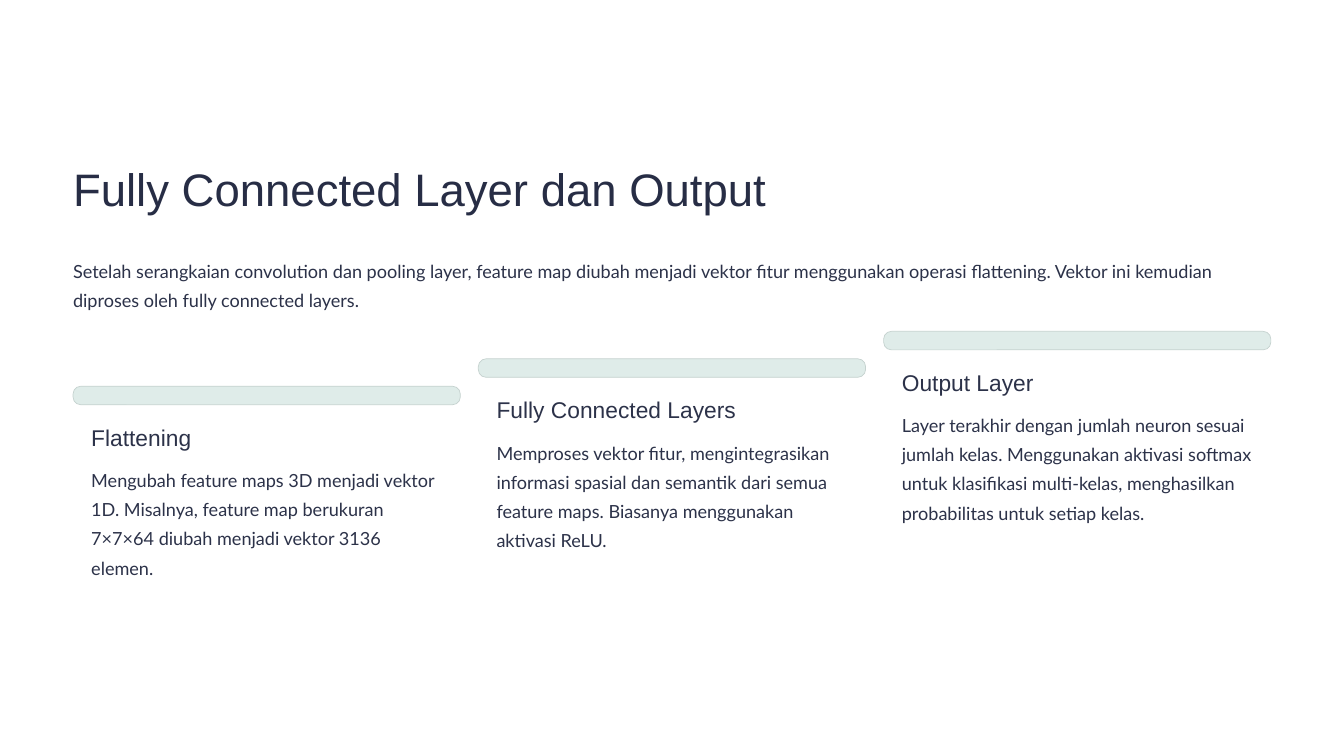
import pptx
import pptx.util
import pptx.dml.color
import pptx.enum.shapes
import pptx.enum.text

Cm, Pt = pptx.util.Cm, pptx.util.Pt

# Content
TITLE = "Fully Connected Layer dan Output"
INTRO = (
    "Setelah serangkaian convolution dan pooling layer, feature map diubah "
    "menjadi vektor fitur menggunakan operasi flattening. Vektor ini kemudian "
    "diproses oleh fully connected layers."
)
# Head, body, body height in cm
STEPS = [
    ("Flattening",
     "Mengubah feature maps 3D menjadi vektor 1D. Misalnya, feature map "
     "berukuran 7×7×64 diubah menjadi vektor 3136 elemen.", 3.53),
    ("Fully Connected Layers",
     "Memproses vektor fitur, mengintegrasikan informasi spasial dan semantik "
     "dari semua feature maps. Biasanya menggunakan aktivasi ReLU.", 3.53),
    ("Output Layer",
     "Layer terakhir dengan jumlah neuron sesuai jumlah kelas. Menggunakan "
     "aktivasi softmax untuk klasifikasi multi-kelas, menghasilkan "
     "probabilitas untuk setiap kelas.", 4.42),
]
COLORS = {"back": "FFFFFF", "title": "272D45", "text": "2C3249",
          "bar": "DFECE9", "edge": "C5D2CF"}

# Layout in cm
LEFT, WIDTH = 2.21, 36.22
BAR_W, BAR_H = 11.71, 0.56
PITCH = (WIDTH - BAR_W) / (len(STEPS) - 1)
BASE, RISE = 11.68, 0.83
INSET = 0.55
HEAD_DY, BODY_DY = 1.1, 2.29


def rgb(name):
    return pptx.dml.color.RGBColor.from_string(COLORS[name])


def write(text, x, y, w, h, box=None, font="Lato", size=15.5, lead=25,
          color="text", wrap=True):
    box = box or slide.shapes.add_textbox(0, 0, 0, 0)
    box.left, box.top, box.width, box.height = Cm(x), Cm(y), Cm(w), Cm(h)
    frame = box.text_frame
    frame.margin_left = frame.margin_right = 0
    frame.margin_top = frame.margin_bottom = 0
    frame.word_wrap = wrap
    frame.auto_size = pptx.enum.text.MSO_AUTO_SIZE.NONE
    frame.vertical_anchor = pptx.enum.text.MSO_ANCHOR.TOP
    para = frame.paragraphs[0]
    para.alignment = pptx.enum.text.PP_ALIGN.LEFT
    para.line_spacing = Pt(lead)
    para.space_before = Pt(0)
    run = para.add_run()
    run.text = text
    run.font.name, run.font.size = font, Pt(size)
    run.font.color.rgb = rgb(color)


def draw_bar(x, y):
    bar = slide.shapes.add_shape(
        pptx.enum.shapes.MSO_SHAPE.ROUNDED_RECTANGLE,
        Cm(x), Cm(y), Cm(BAR_W), Cm(BAR_H))
    bar.adjustments[0] = 0.42
    bar.shadow.inherit = False
    bar.fill.solid()
    bar.fill.fore_color.rgb = rgb("bar")
    bar.line.color.rgb = rgb("edge")
    bar.line.width = Pt(0.6)


# Slide
deck = pptx.Presentation()
deck.slide_width, deck.slide_height = Cm(40.64), Cm(22.86)
slide = deck.slides.add_slide(deck.slide_layouts[5])
slide.background.fill.solid()
slide.background.fill.fore_color.rgb = rgb("back")

# Title and intro
write(TITLE, LEFT, 4.8, 22, 1.73, box=slide.shapes.title, font="Arial",
      size=39, lead=48.5, color="title", wrap=False)
write(INTRO, LEFT, 7.65, WIDTH, 1.75)

# Rising steps
for i, (head, body, tall) in enumerate(STEPS):
    x, y = LEFT + i * PITCH, BASE - i * RISE
    draw_bar(x, y)
    write(head, x + INSET, y + HEAD_DY, 7, 0.86, font="Arial", size=19.5,
          lead=24, wrap=False)
    write(body, x + INSET, y + BODY_DY, 10.62, tall)

deck.save("out.pptx")
